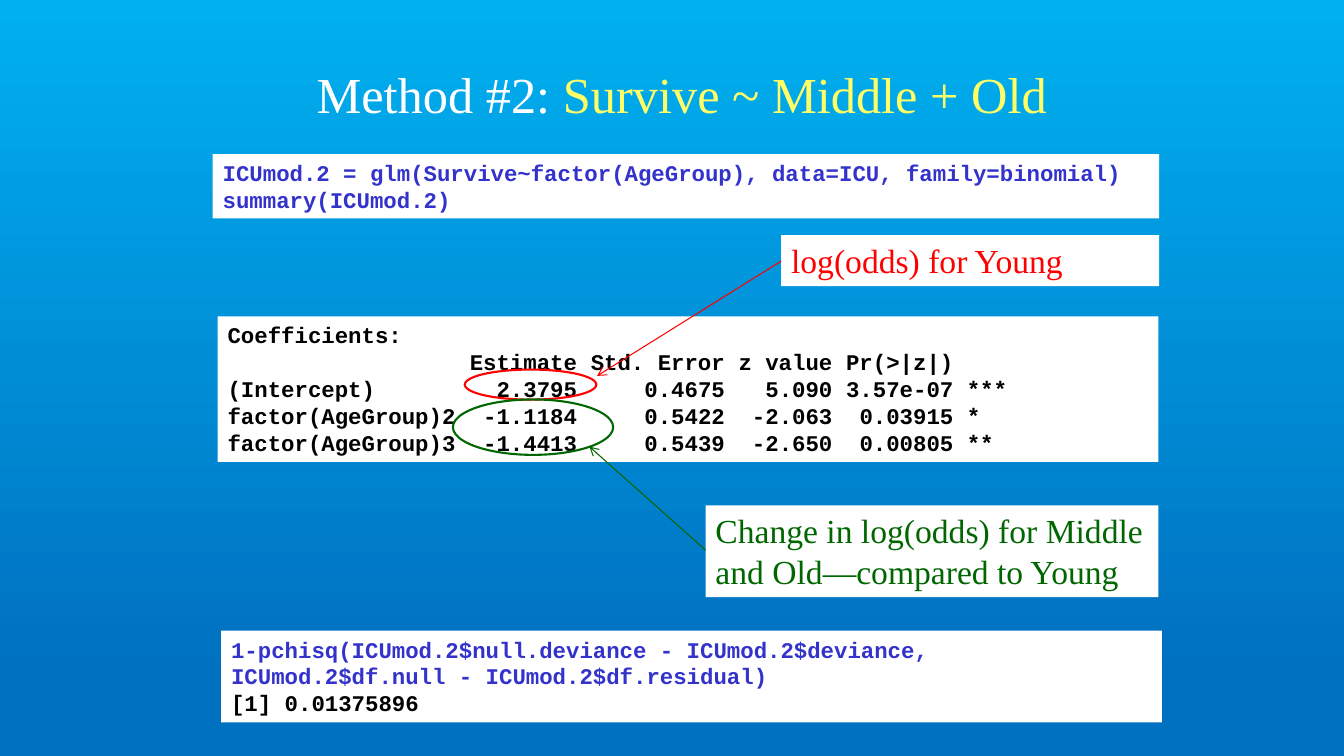
from lxml.etree import SubElement
from pptx import Presentation
from pptx.dml.color import RGBColor
from pptx.enum.shapes import MSO_CONNECTOR, MSO_SHAPE
from pptx.enum.text import MSO_ANCHOR, PP_ALIGN
from pptx.oxml.ns import qn
from pptx.util import Pt

WHITE = RGBColor(0xFF, 0xFF, 0xFF)
BLACK = RGBColor(0x00, 0x00, 0x00)
YELLOW = RGBColor(0xFF, 0xFF, 0x66)
RED = RGBColor(0xFF, 0x00, 0x00)
GREEN = RGBColor(0x00, 0x66, 0x00)
CODE_BLUE = RGBColor(0x33, 0x33, 0xCC)
SKY_TOP = RGBColor(0x00, 0xB0, 0xF0)
SKY_BOTTOM = RGBColor(0x00, 0x70, 0xC0)
SERIF = "Times New Roman"
MONO = "Courier New"
CHARACTER_WIDTH = 9.6  # Courier New at 16 pt


def add_run(paragraph, text, font_name, size, color, bold=False):
    run = paragraph.add_run()
    run.text = text
    run.font.name = font_name
    run.font.size = Pt(size)
    run.font.bold = bold
    run.font.color.rgb = color


def add_text_panel(box, lines, font_name, size, bold):
    panel = slide.shapes.add_shape(MSO_SHAPE.RECTANGLE, *map(Pt, box))
    panel.shadow.inherit = False
    panel.fill.solid()
    panel.fill.fore_color.rgb = WHITE
    panel.line.fill.background()
    frame = panel.text_frame
    frame.word_wrap = True
    frame.vertical_anchor = MSO_ANCHOR.TOP
    for index, (text, color) in enumerate(lines):
        paragraph = frame.add_paragraph() if index else frame.paragraphs[0]
        paragraph.alignment = PP_ALIGN.LEFT
        add_run(paragraph, text, font_name, size, color, bold)
    return panel


presentation = Presentation()
presentation.slide_width = Pt(960)
presentation.slide_height = Pt(540)
slide = presentation.slides.add_slide(presentation.slide_layouts[5])

# Background gradient, top to bottom
background = slide.background.fill
background.gradient()
background.gradient_angle = 270
for stop, position, color in zip(background.gradient_stops, (0, 0.9), (SKY_TOP, SKY_BOTTOM)):
    stop.position = position
    stop.color.rgb = color

# Title
title = slide.shapes.title
title.left, title.top, title.width, title.height = map(Pt, (181, 46, 612, 42))
title.text_frame.vertical_anchor = MSO_ANCHOR.MIDDLE
title_paragraph = title.text_frame.paragraphs[0]
title_paragraph.alignment = PP_ALIGN.CENTER
add_run(title_paragraph, "Method #2: ", SERIF, 36, WHITE)
add_run(title_paragraph, "Survive ~ Middle + Old", SERIF, 36, YELLOW)

# Explanations
add_text_panel((504, 361, 323.5, 65.5),
               [("Change in log(odds) for Middle and Old\u2014compared to Young", GREEN)],
               SERIF, 24, False)
add_text_panel((558, 168, 270, 36.4), [("log(odds) for Young", RED)], SERIF, 24, False)

# Coefficients, with columns set by tab stops
coefficient_rows = [
    "Coefficients:",
    "\tEstimate\tStd. Error\tz value\tPr(>|z|)",
    "(Intercept)\t2.3795\t0.4675\t5.090\t3.57e-07\t***",
    "factor(AgeGroup)2\t-1.1184\t0.5422\t-2.063\t0.03915\t*",
    "factor(AgeGroup)3\t-1.4413\t0.5439\t-2.650\t0.00805\t**",
]
column_stops = [(26, "r"), (37, "r"), (45, "r"), (54, "r"), (55, "l")]
coefficients = add_text_panel((155.5, 226, 672, 104),
                              [(row, BLACK) for row in coefficient_rows], MONO, 16, True)
for paragraph in coefficients.text_frame.paragraphs:
    properties = paragraph._p.get_or_add_pPr()
    tab_list = SubElement(properties, qn("a:tabLst"))
    for characters, alignment in column_stops:
        SubElement(tab_list, qn("a:tab"),
                   pos=str(int(Pt(characters * CHARACTER_WIDTH))), algn=alignment)

# Circled estimates and their arrows
callouts = [
    (RED, (332, 264, 94, 21.5), (558, 186.5, 426.5, 268.5)),
    (GREEN, (323.5, 285.3, 114.5, 39.6), (504, 393, 421, 319)),
]
for color, ellipse_box, arrow_ends in callouts:
    ellipse = slide.shapes.add_shape(MSO_SHAPE.OVAL, *map(Pt, ellipse_box))
    ellipse.shadow.inherit = False
    ellipse.fill.background()
    ellipse.line.color.rgb = color
    ellipse.line.width = Pt(1.5)

    arrow = slide.shapes.add_connector(MSO_CONNECTOR.STRAIGHT, *map(Pt, arrow_ends))
    arrow.line.color.rgb = color
    arrow.line.width = Pt(0.75)
    SubElement(arrow.line._get_or_add_ln(), qn("a:tailEnd"), type="arrow")
    SubElement(arrow._element.spPr, qn("a:effectLst"))

# Model code and deviance test
add_text_panel((152, 110, 676, 46),
               [("ICUmod.2 = glm(Survive~factor(AgeGroup), data=ICU, family=binomial)", CODE_BLUE),
                ("summary(ICUmod.2)", CODE_BLUE)],
               MONO, 16, True)
add_text_panel((158, 450.5, 672, 65.5),
               [("1-pchisq(ICUmod.2$null.deviance - ICUmod.2$deviance, "
                 "ICUmod.2$df.null - ICUmod.2$df.residual)", CODE_BLUE),
                ("[1] 0.01375896", BLACK)],
               MONO, 16, True)

presentation.save("out.pptx")
